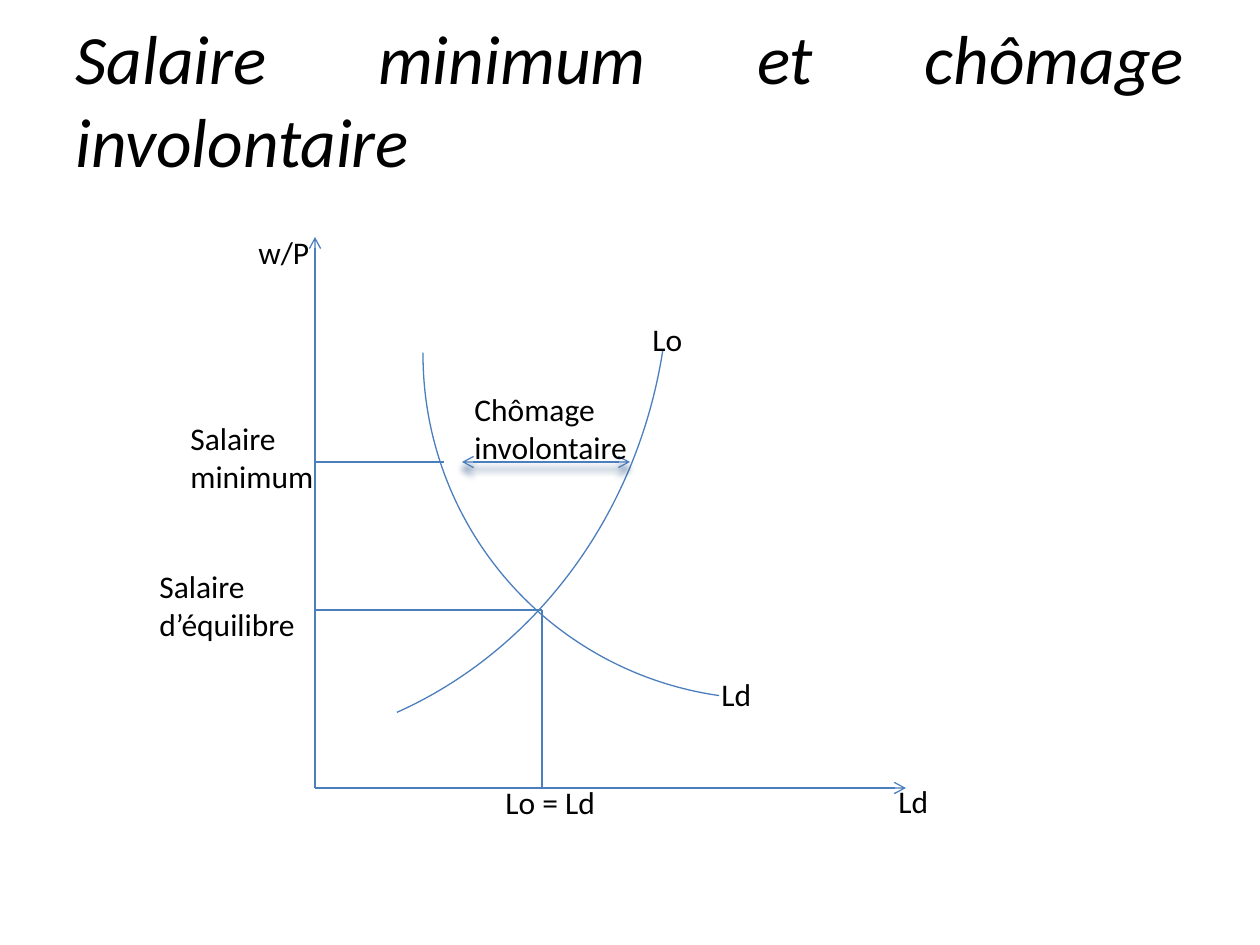
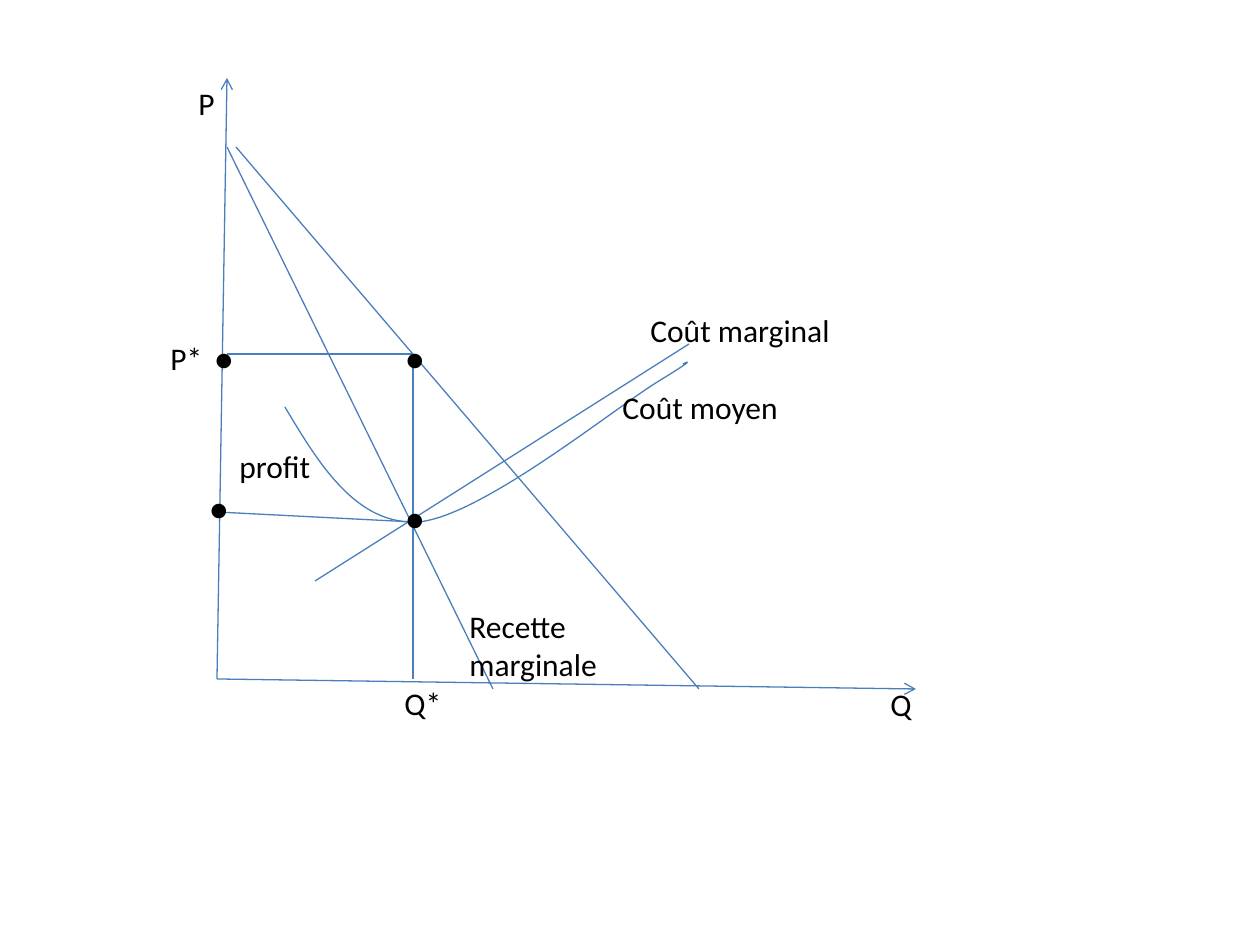
from dataclasses import dataclass

from pptx import Presentation
from pptx.dml.color import RGBColor
from pptx.enum.shapes import MSO_CONNECTOR, MSO_SHAPE
from pptx.enum.text import MSO_ANCHOR, MSO_AUTO_SIZE, PP_ALIGN
from pptx.oxml.ns import qn
from pptx.oxml.xmlchemy import OxmlElement
from pptx.util import Pt

STRAIGHT = MSO_CONNECTOR.STRAIGHT
ARC = MSO_SHAPE.ARC
MIDDLE = MSO_ANCHOR.MIDDLE
GROW = MSO_AUTO_SIZE.SHAPE_TO_FIT_TEXT
JUSTIFY = PP_ALIGN.JUSTIFY

SCALE = 914400 / 126  # EMU in one px
BLANK = 6


@dataclass(frozen=True)
class Theme:
    font: str = "Calibri"
    ink: RGBColor = RGBColor(0, 0, 0)
    line: RGBColor = RGBColor(0x4B, 0x7E, 0xBC)
    glow: str = "1F497D"
    title: float = 39.6
    label: float = 18
    width: float = 0.75
    row: int = 50  # height of a label with one line
    rows: int = 89  # height of a label with two lines


THEME = Theme()


def px(*sizes):
    return [round(size * SCALE) for size in sizes]


def add_node(parent, tag, **attrs):
    node = OxmlElement(tag)
    for name, value in attrs.items():
        node.set(name, str(value))
    parent.append(node)
    return node


# Text
def add_text(slide, text, box, size, wrap=True):
    shape = slide.shapes.add_textbox(*px(*box))
    frame = shape.text_frame
    frame.word_wrap = wrap
    frame.text = text
    for run in frame.paragraphs[0].runs:
        run.font.name = THEME.font
        run.font.size = Pt(size)
        run.font.color.rgb = THEME.ink
    return frame


def add_title(slide, text):
    frame = add_text(slide, text, (63, 38, 1134, 120), THEME.title)
    frame.vertical_anchor = MIDDLE
    para = frame.paragraphs[0]
    para.alignment = JUSTIFY
    para.runs[0].font.italic = True


def add_labels(slide, labels, high=THEME.row, wrap=True):
    for text, left, top, wide in labels:
        box = (left, top, wide, high)
        add_text(slide, text, box, THEME.label, wrap).auto_size = GROW


# Lines and curves
def set_line(shape):
    shape.line.color.rgb = THEME.line
    shape.line.width = Pt(THEME.width)


def add_line(slide, start, end, tips=(), glow=False):
    line = slide.shapes.add_connector(STRAIGHT, *px(*start, *end))
    set_line(line)
    for tip in tips:
        add_node(line.line._get_or_add_ln(), f"a:{tip}End", type="arrow")
    effect = add_node(line.element.spPr, "a:effectLst")
    if glow:
        blur = Pt(4)
        shade = add_node(effect, "a:outerShdw", blurRad=blur, dist=blur,
                         dir=90 * 60000, rotWithShape=0)
        add_node(shade, "a:srgbClr", val=THEME.glow)


def add_axes(slide, origin, top, right):
    for end in (top, right):
        add_line(slide, origin, end, ["tail"])


def add_arc(slide, box, turns, flip=False):
    arc = slide.shapes.add_shape(ARC, *px(*box))
    arc.shadow.inherit = False
    arc.fill.background()
    set_line(arc)
    for index, turn in enumerate(turns):
        arc.adjustments[index] = turn
    if flip:
        arc.element.spPr.xfrm.set("flipH", "1")


def add_curve(slide, points):
    first, *rest = points
    pen = slide.shapes.build_freeform(*first, scale=SCALE)
    pen.add_line_segments(rest, close=False)
    curve = pen.convert_to_shape()
    curve.shadow.inherit = False
    curve.fill.background()
    set_line(curve)
    # Each three points after the first make one cubic segment
    route = next(curve.element.iter(qn("a:path")))
    steps = route.findall(qn("a:lnTo"))
    for index in range(0, len(steps), 3):
        cubic = add_node(route, "a:cubicBezTo")
        for step in steps[index:index + 3]:
            cubic.append(step[0])
            route.remove(step)


# Slides
def wage_slide(slide):
    add_title(slide, "Salaire minimum et chômage involontaire")
    left, base = 315, 788
    even_x, even_y, floor = 542, 610, 462
    add_axes(slide, (left, base), (left, 237), (906, base))

    # Demand and supply of labour
    add_arc(slide, (423, 10, 689, 689), (58.84, 108.2))
    add_arc(slide, (-207, -207, 876, 955), (66.35, 101.76), flip=True)

    # Minimum wage, gap and balance
    add_line(slide, (left, floor), (444, floor))
    add_line(slide, (462, floor), (630, floor), ["head", "tail"], glow=True)
    add_line(slide, (even_x, even_y), (even_x, base))
    add_line(slide, (even_x, even_y), (left, even_y))

    add_labels(slide, [("w/P", 246, 227, 77)], wrap=False)
    add_labels(slide, [
        ("Salaire minimum", 178, 413, 168),
        ("Salaire d’équilibre", 147, 561, 168),
        ("Chômage involontaire", 462, 384, 207),
    ], THEME.rows)
    add_labels(slide, [
        ("Lo", 640, 314, 59),
        ("Ld", 709, 669, 59),
        ("Lo = Ld", 493, 777, 137),
        ("Ld", 886, 776, 59),
    ])


def profit_slide(slide):
    origin, best, price = (217, 679), 413, 354
    add_axes(slide, origin, (227, 78), (916, 689))

    # Demand, marginal revenue and marginal cost
    add_line(slide, (236, 147), (699, 689))
    add_line(slide, (227, 147), (493, 689))
    add_line(slide, (315, 581), (689, 344))

    # Profit area
    add_line(slide, (217, 512), (best, 522))
    add_line(slide, (best, price), (best, 679))
    add_line(slide, (best, price), (227, price))

    # Average cost
    add_curve(slide, [
        (285, 407), (320, 466), (357, 525), (418, 522),
        (481, 517), (616, 407), (659, 381),
        (703, 354), (683, 364), (683, 364),
    ])

    add_labels(slide, [
        ("P", 186, 78, 42),
        ("P*", 158, 333, 58),
        ("Q*", 392, 678, 63),
        ("Coût marginal", 638, 305, 207),
        ("Coût moyen", 610, 382, 183),
        ("Q", 878, 679, 47),
    ], wrap=False)
    add_labels(slide, [("profit", 227, 441, 118)])
    add_labels(slide, [("Recette marginale", 457, 601, 232)], THEME.rows)

    # Corner dots
    dots = [(393, 333), (202, 333), (197, 483), (393, 493)]
    add_labels(slide, [("●", x, y, 44) for x, y in dots])


def main():
    deck = Presentation()
    deck.slide_width, deck.slide_height = px(1260, 945)
    for build in (wage_slide, profit_slide):
        build(deck.slides.add_slide(deck.slide_layouts[BLANK]))
    deck.save("out.pptx")


if __name__ == "__main__":
    main()
